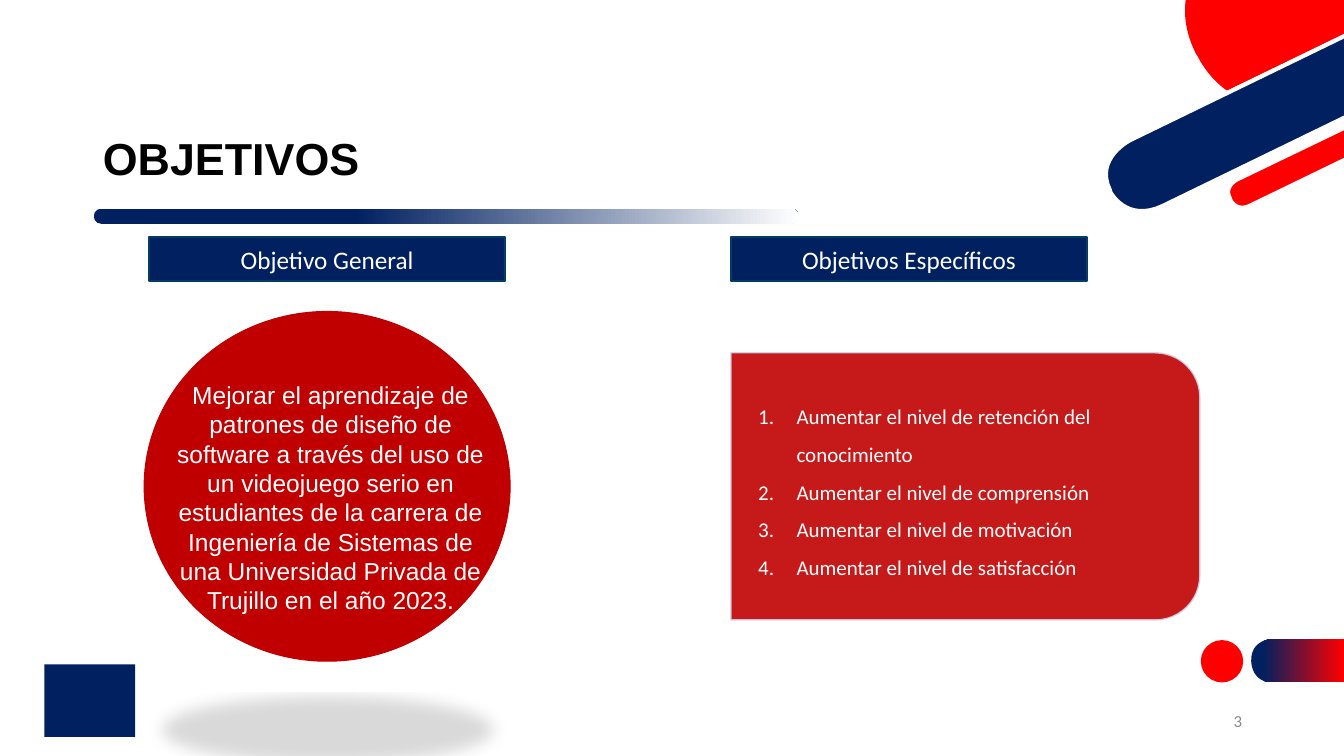
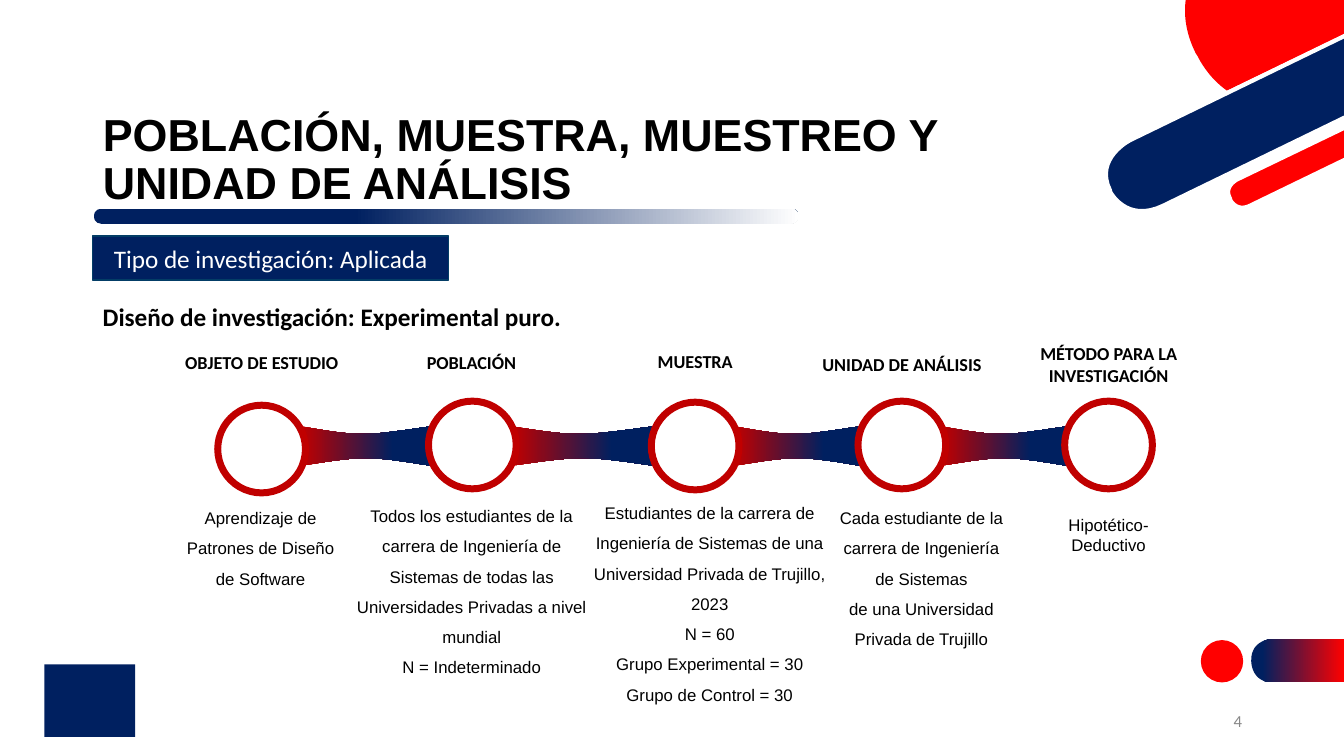
from copy import deepcopy
from dataclasses import dataclass
from itertools import pairwise

from lxml.etree import SubElement
from pptx import Presentation
from pptx.dml.color import RGBColor
from pptx.enum.shapes import MSO_SHAPE, PP_PLACEHOLDER
from pptx.enum.text import MSO_ANCHOR, MSO_AUTO_SIZE, PP_ALIGN
from pptx.oxml.ns import qn
from pptx.shapes.autoshape import Shape
from pptx.slide import Slide
from pptx.text.text import TextFrame
from pptx.util import Inches, Pt

NAVY = "002060"
RED = "FF0000"
CRIMSON = "C00000"
WHITE = "FFFFFF"
BLACK = "000000"
GRAY = "888888"
BAR_EDGE = "033D66"
CARD_EDGE = "CCD3EA"
CURVE_STEPS = 16


@dataclass(frozen=True)
class Box:
    left: float
    top: float
    width: float
    height: float

    def lengths(self) -> list[int]:
        return [Inches(value) for value in (self.left, self.top, self.width, self.height)]


@dataclass(frozen=True)
class TextStyle:
    size: float
    font: str = "Calibri"
    color: str = BLACK
    bold: bool = False
    align: PP_ALIGN = PP_ALIGN.CENTER
    spacing: float = 1.0
    anchor: MSO_ANCHOR = MSO_ANCHOR.TOP
    margins: tuple[float, float] = (0.1, 0.05)


@dataclass(frozen=True)
class Gradient:
    first: str
    last: str
    start: float = 0
    end: float = 1


@dataclass(frozen=True)
class Stage:
    label: str
    label_box: Box
    circle_left: float
    circle_top: float
    details: list[str]
    detail_box: Box
    spacing: float = 1.5


TITLE = TextStyle(32, "Arial", bold=True, align=PP_ALIGN.LEFT, spacing=0.9, anchor=MSO_ANCHOR.MIDDLE)
NUMBER = TextStyle(12, color=GRAY, align=PP_ALIGN.RIGHT, anchor=MSO_ANCHOR.MIDDLE)
BAR = TextStyle(18, color=WHITE, anchor=MSO_ANCHOR.MIDDLE)
GOAL = TextStyle(17.5, "Arial", WHITE)
LIST = TextStyle(15, color=WHITE, align=PP_ALIGN.LEFT, spacing=1.5,
                 anchor=MSO_ANCHOR.MIDDLE, margins=(0.27, 0.14))
DESIGN = TextStyle(18, bold=True, align=PP_ALIGN.LEFT)
LABEL = TextStyle(13, bold=True, anchor=MSO_ANCHOR.MIDDLE)

TITLE_BOX = Box(0.92, 0.87, 9.69, 1.45)
NUMBER_BOX = Box(9.42, 6.95, 3, 0.4)
BAR_SIZE = (3.53, 0.44)
CIRCLE_SIZE = 0.87

CORNER_DISC = [(11.88, 0.56), (11.88, 0.56, 11.97, 0.76, 12.17, 0.9), (13.33, 0.34), (13.33, 0),
               (11.76, 0), (11.74, 0.15, 11.76, 0.33, 11.86, 0.53)]
WIDE_BAND = [(11.21, 1.39), (11.21, 1.39, 10.85, 1.57, 11.01, 1.89),
             (11.01, 1.9), (11.01, 1.9, 11.17, 2.22, 11.54, 2.04), (13.37, 1.15), (13.37, 0.34)]
THIN_BAND = [(13.37, 1.25), (12.27, 1.78), (12.27, 1.78, 12.13, 1.85, 12.2, 1.97),
             (12.2, 1.98), (12.2, 1.98, 12.26, 2.11, 12.4, 2.04), (13.37, 1.57)]
SIDE_TAB = [(12.62, 6.77), (13.33, 6.77), (13.33, 6.34), (12.62, 6.34),
            (12.62, 6.34, 12.41, 6.34, 12.41, 6.55), (12.41, 6.56),
            (12.41, 6.56, 12.41, 6.77, 12.62, 6.77)]

OBJECTIVES = [
    "Aumentar el nivel de retención del conocimiento",
    "Aumentar el nivel de comprensión",
    "Aumentar el nivel de motivación",
    "Aumentar el nivel de satisfacción",
]

STAGES = [
    Stage("OBJETO DE ESTUDIO", Box(1.69, 3.43, 1.81, 0.32), 2.16, 4.02,
          ["Aprendizaje de Patrones de Diseño de Software"], Box(1.68, 4.89, 1.81, 1.01)),
    Stage("POBLACIÓN", Box(3.77, 3.43, 1.81, 0.32), 4.25, 3.98,
          ["Todos los estudiantes de la carrera de Ingeniería de Sistemas de todas las "
           "Universidades Privadas a nivel mundial", "N = Indeterminado"],
          Box(3.43, 4.87, 2.5, 2.22)),
    Stage("MUESTRA", Box(5.99, 3.42, 1.81, 0.32), 6.46, 3.99,
          ["Estudiantes de la carrera de Ingeniería de Sistemas de una Universidad Privada "
           "de Trujillo, 2023", "N = 60", "Grupo Experimental = 30", "Grupo de Control = 30"],
          Box(5.79, 4.84, 2.5, 2.22)),
    Stage("UNIDAD DE ANÁLISIS", Box(7.87, 3.45, 2.15, 0.32), 8.51, 3.98,
          ["Cada estudiante de la carrera de Ingeniería de Sistemas",
           "de una Universidad Privada de Trujillo"], Box(8.16, 4.89, 1.96, 1.62)),
    Stage("MÉTODO PARA LA INVESTIGACIÓN", Box(9.92, 3.34, 2.15, 0.54), 10.56, 3.98,
          ["Hipotético- Deductivo"], Box(10.12, 5.06, 1.75, 0.5), 1.0),
]


def rgb(color: str) -> RGBColor:
    return RGBColor.from_string(color)


def paint(shape: Shape, fill: str | Gradient, line: str | None = None, width: float = 0.75) -> Shape:
    shape.shadow.inherit = False
    if isinstance(fill, Gradient):
        shape.fill.gradient()
        shape.fill.gradient_angle = 0
        first, last = shape.fill.gradient_stops
        first.color.rgb, first.position = rgb(fill.first), fill.start
        last.color.rgb, last.position = rgb(fill.last), fill.end
    else:
        shape.fill.solid()
        shape.fill.fore_color.rgb = rgb(fill)
    if line:
        shape.line.color.rgb = rgb(line)
        shape.line.width = Pt(width)
    else:
        shape.line.fill.background()
    return shape


def add_preset(slide: Slide, kind: MSO_SHAPE, box: Box) -> Shape:
    return slide.shapes.add_shape(kind, *box.lengths())


def bezier(start: tuple, curve: tuple) -> list[tuple]:
    controls = [start, curve[:2], curve[2:4], curve[4:]]
    points = []
    for step in range(1, CURVE_STEPS + 1):
        t = step / CURVE_STEPS
        weights = ((1 - t) ** 3, 3 * t * (1 - t) ** 2, 3 * t * t * (1 - t), t ** 3)
        points.append(tuple(sum(weight * control[axis] for weight, control in zip(weights, controls))
                            for axis in (0, 1)))
    return points


def add_outline(slide: Slide, outline: list[tuple]) -> Shape:
    points = [outline[0]]
    for segment in outline[1:]:
        points += [segment] if len(segment) == 2 else bezier(points[-1], segment)
    vertices = [(Inches(x), Inches(y)) for x, y in points]
    builder = slide.shapes.build_freeform(*vertices[0], scale=1.0)
    builder.add_line_segments(vertices[1:], close=True)
    return builder.convert_to_shape()


def write(frame: TextFrame, lines: list[str], style: TextStyle) -> None:
    frame.word_wrap = True
    frame.auto_size = MSO_AUTO_SIZE.NONE
    frame.vertical_anchor = style.anchor
    frame.margin_left = frame.margin_right = Inches(style.margins[0])
    frame.margin_top = frame.margin_bottom = Inches(style.margins[1])
    frame.text = "\n".join(lines)
    for paragraph in frame.paragraphs:
        paragraph.alignment = style.align
        paragraph.line_spacing = style.spacing
        paragraph.space_before = Pt(0)
        paragraph.font.name = style.font
        paragraph.font.size = Pt(style.size)
        paragraph.font.bold = style.bold
        paragraph.font.color.rgb = rgb(style.color)


def add_text(slide: Slide, box: Box, lines: list[str], style: TextStyle) -> None:
    write(slide.shapes.add_textbox(*box.lengths()).text_frame, lines, style)


def place(shape: Shape, box: Box) -> None:
    shape.left, shape.top, shape.width, shape.height = box.lengths()


def add_bar(slide: Slide, left: float, top: float, text: str) -> None:
    bar = paint(add_preset(slide, MSO_SHAPE.RECTANGLE, Box(left, top, *BAR_SIZE)), NAVY, BAR_EDGE, 1)
    write(bar.text_frame, [text], BAR)


def start_slide(presentation: Presentation, layout_index: int, title: str, number: int) -> Slide:
    layout = presentation.slide_layouts[layout_index]
    slide = presentation.slides.add_slide(layout)
    place(slide.shapes.title, TITLE_BOX)
    write(slide.shapes.title.text_frame, [title], TITLE)
    for placeholder in layout.placeholders:
        if placeholder.placeholder_format.type == PP_PLACEHOLDER.SLIDE_NUMBER:
            slide.shapes.element.append(deepcopy(placeholder.element))
    slide_number = slide.shapes[-1]
    place(slide_number, NUMBER_BOX)
    write(slide_number.text_frame, [str(number)], NUMBER)
    return slide


def decorate_master(presentation: Presentation, slide: Slide) -> None:
    decorations = [
        paint(add_preset(slide, MSO_SHAPE.RECTANGLE, Box(0.44, 6.59, 0.9, 0.72)), NAVY),
        paint(add_preset(slide, MSO_SHAPE.OVAL, Box(11.91, 6.35, 0.42, 0.42)), RED),
        paint(add_outline(slide, SIDE_TAB), Gradient(NAVY, RED, start=0.12)),
        paint(add_outline(slide, CORNER_DISC), RED),
        paint(add_outline(slide, WIDE_BAND), NAVY, WHITE, 3),
        paint(add_outline(slide, THIN_BAND), RED, WHITE, 3),
    ]
    rule = add_preset(slide, MSO_SHAPE.ROUNDED_RECTANGLE, Box(0.93, 2.07, 6.99, 0.15))
    rule.adjustments[0] = 0.5
    decorations.append(paint(rule, Gradient(NAVY, WHITE, start=0.37)))
    master_tree = presentation.slide_master.shapes.element
    for index, shape in enumerate(decorations):
        shape.element.xpath(".//p:cNvPr")[0].set("id", str(101 + index))
        master_tree.insert(2 + index, shape.element)


def add_perspective_shadow(shape: Shape) -> None:
    effects = shape.element.spPr.find(qn("a:effectLst"))
    shadow = SubElement(effects, qn("a:outerShdw"), blurRad=str(Pt(12)), dist=str(Pt(25)),
                        dir="5400000", sx="90000", sy="-19000", rotWithShape="0")
    color = SubElement(shadow, qn("a:srgbClr"), val=BLACK)
    SubElement(color, qn("a:alpha"), val="15000")


def build_objectives(slide: Slide) -> None:
    goal = paint(add_preset(slide, MSO_SHAPE.OVAL, Box(1.43, 3.09, 3.63, 3.47)), CRIMSON, CRIMSON)
    add_perspective_shadow(goal)
    add_text(slide, Box(1.55, 3.72, 3.46, 2.46),
             ["Mejorar el aprendizaje de patrones de diseño de software a través del uso de un "
              "videojuego serio en estudiantes de la carrera de Ingeniería de Sistemas de una "
              "Universidad Privada de Trujillo en el año 2023."], GOAL)
    add_bar(slide, 1.48, 2.35, "Objetivo General")
    add_bar(slide, 7.25, 2.35, "Objetivos Específicos")
    card = add_preset(slide, MSO_SHAPE.ROUND_2_SAME_RECTANGLE, Box(8.25, 2.5, 2.65, 4.65))
    card.rotation = 90
    paint(card, CRIMSON, CARD_EDGE, 1)
    for color in card.element.spPr.iter(qn("a:srgbClr")):
        SubElement(color, qn("a:alpha"), val="90000")
    body = slide.placeholders[1]
    place(body, Box(7.25, 3.62, 4.54, 2.39))
    write(body.text_frame, OBJECTIVES, LIST)
    for paragraph in body.text_frame.paragraphs:
        properties = paragraph._p.get_or_add_pPr()
        properties.set("marL", str(Inches(0.38)))
        properties.set("indent", str(-Inches(0.38)))
        numbering = properties.makeelement(qn("a:buAutoNum"), {"type": "arabicPeriod"})
        properties.find(qn("a:defRPr")).addprevious(numbering)
    slide.shapes.element.append(body.element)


def build_population(slide: Slide) -> None:
    for stage, following in pairwise(STAGES):
        left, right = stage.circle_left + 0.83, following.circle_left + 0.02
        middle = (left + right) / 2
        flare = [(left, 4.23), (middle - 0.03, 4.34, middle + 0.01, 4.32, right, 4.23), (right, 4.62),
                 (middle + 0.01, 4.52, middle - 0.02, 4.52, left, 4.62)]
        paint(add_outline(slide, flare), Gradient(CRIMSON, NAVY, end=0.71))
    for stage in STAGES:
        circle_box = Box(stage.circle_left, stage.circle_top, CIRCLE_SIZE, CIRCLE_SIZE)
        paint(add_preset(slide, MSO_SHAPE.OVAL, circle_box), WHITE, CRIMSON, 5)
        add_text(slide, stage.label_box, [stage.label], LABEL)
        add_text(slide, stage.detail_box, stage.details, TextStyle(12, "Arial", spacing=stage.spacing))
    add_bar(slide, 0.92, 2.34, "Tipo de investigación: Aplicada")
    add_text(slide, Box(0.92, 2.94, 6.67, 0.4), ["Diseño de investigación: Experimental puro."], DESIGN)


def main() -> None:
    presentation = Presentation()
    presentation.slide_width, presentation.slide_height = Inches(13.33), Inches(7.5)
    objectives = start_slide(presentation, 1, "OBJETIVOS", 3)
    decorate_master(presentation, objectives)
    build_objectives(objectives)
    population = start_slide(presentation, 5, "POBLACIÓN, MUESTRA, MUESTREO Y UNIDAD DE ANÁLISIS", 4)
    build_population(population)
    presentation.save("out.pptx")


if __name__ == "__main__":
    main()
